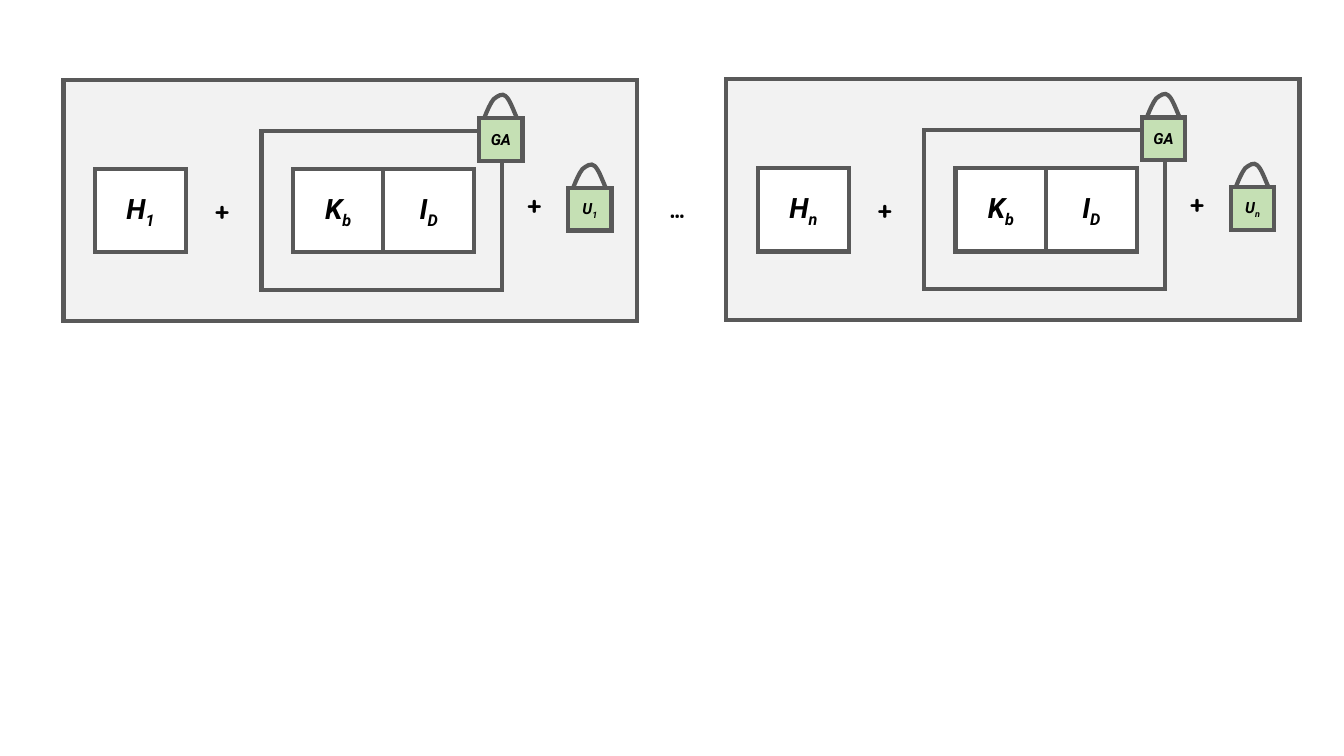
"""Draw two chained block frames, each holding a hash, a sealed payload and a user lock."""
from dataclasses import dataclass

from lxml.etree import SubElement
from pptx import Presentation
from pptx.dml.color import RGBColor
from pptx.enum.shapes import MSO_SHAPE
from pptx.enum.text import MSO_ANCHOR, PP_ALIGN
from pptx.oxml.ns import qn
from pptx.util import Cm, Pt

GREY = RGBColor(0x59, 0x59, 0x59)
PALE = RGBColor(0xF2, 0xF2, 0xF2)
GREEN = RGBColor(0xC5, 0xE0, 0xB4)
WHITE = RGBColor(0xFF, 0xFF, 0xFF)
BLACK = RGBColor(0x00, 0x00, 0x00)

BLOCK_STEP = (16.7, -0.02)
HANDLE_START = (0.13, -0.02)
HANDLE_CURVES = (
    ((0.2, -0.2), (0.28, -0.38), (0.36, -0.48)),
    ((0.46, -0.56), (0.58, -0.64), (0.66, -0.56)),
    ((0.76, -0.48), (0.84, -0.25), (0.94, -0.02)),
)


@dataclass(frozen=True)
class Box:
    """A bordered rectangle with an optional subscripted label."""

    x: float
    y: float
    w: float
    h: float
    fill: RGBColor
    text: str = ""
    sub: str = ""
    size: int = 20


@dataclass(frozen=True)
class Sign:
    """A loose symbol between boxes."""

    x: float
    y: float
    text: str


def cell(x: float, text: str, sub: str) -> Box:
    """Describe a white cell in the main row."""
    return Box(x, 4.25, 2.29, 2.11, WHITE, text, sub)


def lock(x: float, y: float, text: str, sub: str = "") -> Box:
    """Describe the body of a padlock."""
    return Box(x, y, 1.09, 1.07, GREEN, text, sub, 11)


def add_run(p, text: str, size: int, font: str, italic: bool = False, sub: bool = False) -> None:
    """Append one bold black run."""
    r = p.add_run()
    r.text = text
    r.font.name = font
    r.font.size = Pt(size)
    r.font.bold = True
    r.font.italic = italic
    r.font.color.rgb = BLACK
    if sub:
        r._r.get_or_add_rPr().set("baseline", "-25000")


def outline(sp) -> None:
    """Give a shape the common grey mitred line without shadow."""
    sp.shadow.inherit = False
    sp.line.color.rgb = GREY
    sp.line.width = Pt(3)
    SubElement(sp.line._get_or_add_ln(), qn("a:miter"), lim="800000")


def add_box(shapes, box: Box, dx: float, dy: float) -> None:
    """Draw a box shifted by dx and dy centimetres."""
    sp = shapes.add_shape(MSO_SHAPE.RECTANGLE, Cm(box.x + dx), Cm(box.y + dy), Cm(box.w), Cm(box.h))
    sp.fill.solid()
    sp.fill.fore_color.rgb = box.fill
    outline(sp)
    if not box.text:
        return
    tf = sp.text_frame
    tf.word_wrap = False
    tf.vertical_anchor = MSO_ANCHOR.MIDDLE
    p = tf.paragraphs[0]
    p.alignment = PP_ALIGN.CENTER
    add_run(p, box.text, box.size, "Roboto", italic=True)
    if box.sub:
        add_run(p, box.sub, box.size, "Roboto", italic=True, sub=True)


def add_handle(shapes, x: float, y: float) -> None:
    """Draw a padlock handle as three cubic curves above the body at x, y."""
    nodes = [HANDLE_START] + [curve[-1] for curve in HANDLE_CURVES]
    points = [(Cm(x + px), Cm(y + py)) for px, py in nodes]
    builder = shapes.build_freeform(*points[0])
    builder.add_line_segments(points[1:], close=False)
    sp = builder.convert_to_shape()
    left, top = (min(axis) for axis in zip(*nodes))
    segments = list(sp._element.iter(qn("a:lnTo")))
    for segment, curve in zip(segments, HANDLE_CURVES):
        segment.tag = qn("a:cubicBezTo")
        segment.remove(segment[0])
        for px, py in curve:
            SubElement(segment, qn("a:pt"), x=str(Cm(px - left)), y=str(Cm(py - top)))
    sp.fill.background()
    outline(sp)


def add_lock(shapes, body: Box, dx: float, dy: float) -> None:
    """Draw a padlock as a group of body and handle."""
    group = shapes.add_group_shape()
    add_box(group.shapes, body, dx, dy)
    add_handle(group.shapes, body.x + dx, body.y + dy)


def add_sign(shapes, sign: Sign, dx: float = 0, dy: float = 0) -> None:
    """Write a symbol shifted by dx and dy centimetres."""
    tf = shapes.add_textbox(Cm(sign.x + dx), Cm(sign.y + dy), Cm(1.09), Cm(1.02)).text_frame
    tf.word_wrap = True
    add_run(tf.paragraphs[0], sign.text, 18, "Quicksand")


def add_block(shapes, index: str, dx: float, dy: float) -> None:
    """Draw one whole block with its index."""
    boxes = (
        Box(1.6, 2.01, 14.45, 6.08, PALE),
        Box(6.59, 3.3, 6.07, 4.01, PALE),
        cell(7.38, "K", "b"),
        cell(9.66, "I", "D"),
    )
    for box in boxes:
        add_box(shapes, box, dx, dy)
    add_lock(shapes, lock(12.08, 2.98, "GA"), dx, dy)
    add_box(shapes, cell(2.4, "H", index), dx, dy)
    add_sign(shapes, Sign(5.16, 4.79, "+"), dx, dy)
    add_lock(shapes, lock(14.32, 4.74, "U", index), dx, dy)
    add_sign(shapes, Sign(13.03, 4.64, "+"), dx, dy)


def main() -> None:
    """Build and save the slide."""
    prs = Presentation()
    prs.slide_width, prs.slide_height = Cm(33.87), Cm(19.05)
    s = prs.slides.add_slide(prs.slide_layouts[6])
    step_x, step_y = BLOCK_STEP
    for i, index in enumerate(("1", "n")):
        add_block(s.shapes, index, i * step_x, i * step_y)
    add_sign(s.shapes, Sign(16.62, 4.75, "…"))
    prs.save("out.pptx")


if __name__ == "__main__":
    main()
